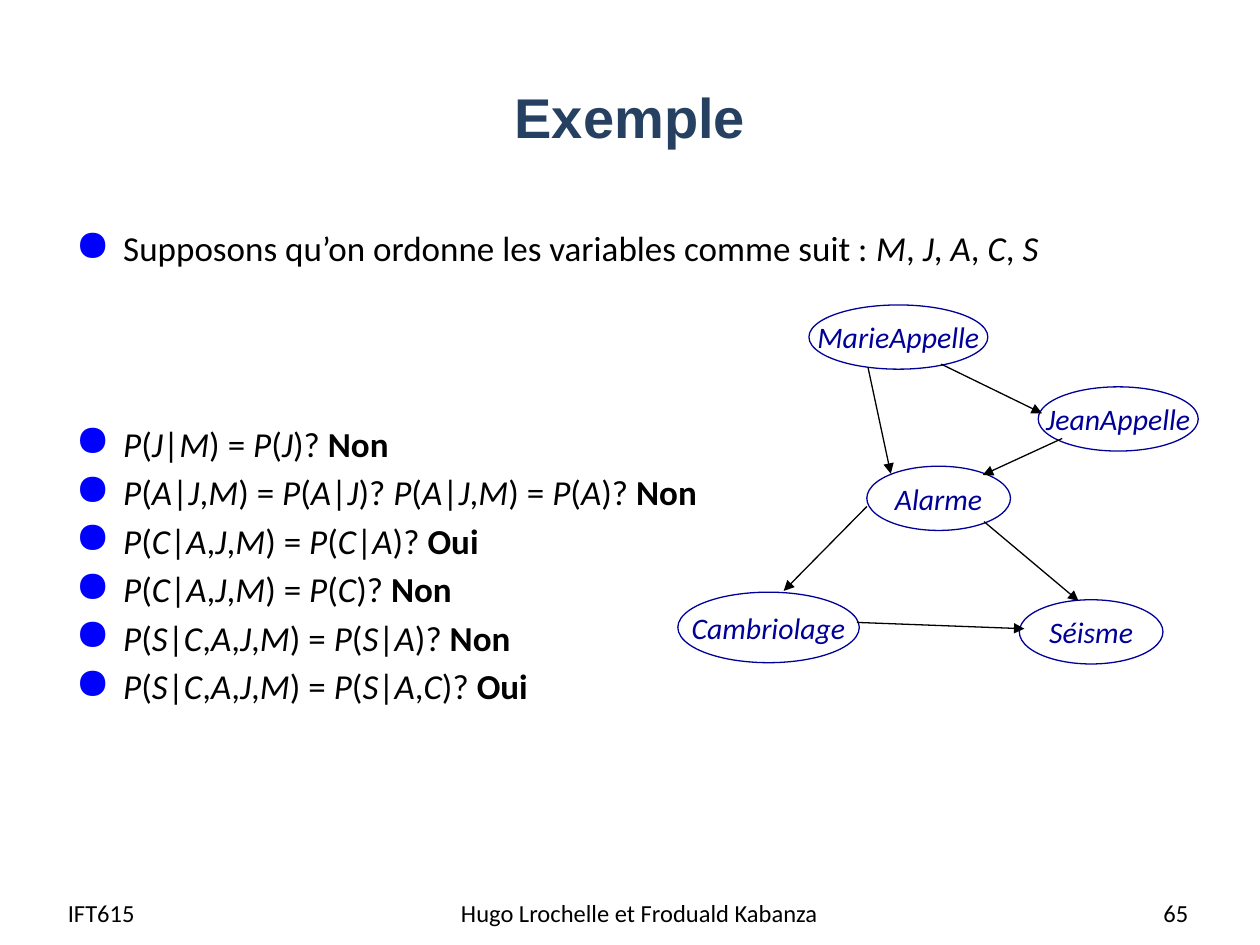
from itertools import groupby

from lxml import etree
from pptx import Presentation
from pptx import util as u
from pptx.dml.color import RGBColor
from pptx.enum import shapes, text
from pptx.oxml.ns import qn

BLACK, NAVY, BLUE, SLATE = "000000", "000099", "0000FF", "254061"
INTRO = "Supposons qu’on ordonne les variables comme suit : "
ORDER = "M, J, A, C, S"
QUESTIONS = [
    ("P(J|M) = P(J)? ", "Non"),
    ("P(A|J,M) = P(A|J)? P(A|J,M) = P(A)? ", "Non"),
    ("P(C|A,J,M) = P(C|A)? ", "Oui"),
    ("P(C|A,J,M) = P(C)? ", "Non"),
    ("P(S|C,A,J,M) = P(S|A)? ", "Non"),
    ("P(S|C,A,J,M) = P(S|A,C)? ", "Oui"),
]
VARIABLES = [
    ("Cambriolage", 0, 2.28, 1.44, 0.56),
    ("Séisme", 2.71, 2.34, 1.14, 0.51),
    ("Alarme", 1.5, 1.28, 1.14, 0.51),
    ("JeanAppelle", 2.86, 0.65, 1.27, 0.51),
    ("MarieAppelle", 1.04, 0, 1.42, 0.51),
]
DEPENDENCIES = [
    (2.09, 0.47, 2.89, 0.86),
    (2.43, 1.72, 3.18, 2.35),
    (1.51, 0.5, 1.69, 1.34),
    (3.05, 1.06, 2.42, 1.35),
    (1.42, 2.52, 2.75, 2.57),
    (1.5, 1.6, 0.84, 2.27),
]


def color(value):
    """Turn a hex string into a colour."""
    return RGBColor.from_string(value)


def style(font, size, name="Calibri", fill=BLACK):
    """Set the size, typeface and colour of a font."""
    font.size, font.name = u.Pt(size), name
    font.color.rgb = color(fill)


def add_label(slide, box, words, align, size, name="Calibri", fill=BLACK, bold=False):
    """Write one vertically centred line in a box."""
    frame = slide.shapes.add_textbox(*map(u.Inches, box)).text_frame
    frame.word_wrap = True
    frame.vertical_anchor = text.MSO_ANCHOR.MIDDLE
    frame.text = words
    line = frame.paragraphs[0]
    line.alignment = align
    style(line.runs[0].font, size, name, fill)
    line.runs[0].font.bold = bold


def add_bullet(paragraph):
    """Give a paragraph a large blue dot and a hanging indent."""
    properties = paragraph._p.get_or_add_pPr()
    properties.set("marL", str(u.Inches(0.38)))
    properties.set("indent", str(-u.Inches(0.38)))
    shade = etree.SubElement(properties, qn("a:buClr"))
    etree.SubElement(shade, qn("a:srgbClr"), val=BLUE)
    etree.SubElement(properties, qn("a:buSzPct"), val="125000")
    etree.SubElement(properties, qn("a:buChar"), char="●")


def add_words(paragraph, words, bold=False, italic=False):
    """Append one run of body text."""
    run = paragraph.add_run()
    run.text = words
    style(run.font, 20)
    run.font.bold, run.font.italic = bold, italic


def add_formula(paragraph, formula):
    """Append a formula with its capital letters in italics."""
    for is_symbol, letters in groupby(formula, str.isupper):
        add_words(paragraph, "".join(letters), italic=is_symbol)


def add_body(slide, box):
    """Write the variable order and the independence questions."""
    frame = slide.shapes.add_textbox(*map(u.Inches, box)).text_frame
    frame.word_wrap = True
    intro = frame.paragraphs[0]
    add_bullet(intro)
    add_words(intro, INTRO)
    add_formula(intro, ORDER)
    for index, (formula, answer) in enumerate(QUESTIONS):
        question = frame.add_paragraph()
        add_bullet(question)
        question.space_before = u.Pt(3.7 if index else 87.7)
        add_formula(question, formula)
        add_words(question, answer, bold=True)


def add_variable(slide, name, box):
    """Draw one variable of the network as an ellipse."""
    node = slide.shapes.add_shape(shapes.MSO_SHAPE.OVAL, *map(u.Inches, box))
    node.shadow.inherit = False
    node.fill.background()
    node.line.color.rgb = color(NAVY)
    node.line.width = u.Pt(0.75)
    frame = node.text_frame
    frame.word_wrap = False
    frame.vertical_anchor = text.MSO_ANCHOR.MIDDLE
    frame.text = name
    line = frame.paragraphs[0]
    line.alignment = text.PP_ALIGN.CENTER
    style(line.runs[0].font, 17, fill=NAVY)
    line.runs[0].font.italic = True


def add_arrow(slide, ends):
    """Draw one dependency as a thin arrow."""
    arrow = slide.shapes.add_connector(shapes.MSO_CONNECTOR.STRAIGHT, *map(u.Inches, ends))
    arrow.line.color.rgb = color(BLACK)
    arrow.line.width = u.Pt(0.75)
    etree.SubElement(arrow.line._get_or_add_ln(), qn("a:tailEnd"), type="triangle")
    etree.SubElement(arrow._element.spPr, qn("a:effectLst"))


def add_network(slide, left, top):
    """Draw the Bayesian network from its top left corner."""
    for name, x, y, width, height in VARIABLES:
        add_variable(slide, name, (left + x, top + y, width, height))
    for x1, y1, x2, y2 in DEPENDENCIES:
        add_arrow(slide, (left + x1, top + y1, left + x2, top + y2))


def add_footer(slide, top, height):
    """Write the course, the authors and the page number."""
    align = text.PP_ALIGN
    for words, left, width, side in [
        ("IFT615", 0.44, 1.93, align.LEFT),
        ("Hugo Lrochelle et Froduald Kabanza", 3.49, 3.17, align.CENTER),
        ("65", 7.2, 2.33, align.RIGHT),
    ]:
        add_label(slide, (left, top, width, height), words, side, 14)


def main():
    """Build and save the slide."""
    deck = Presentation()
    deck.slide_width, deck.slide_height = u.Inches(10), u.Inches(7.5)
    slide = deck.slides.add_slide(deck.slide_layouts[6])
    add_label(slide, (0.5, 0.3, 9, 1.25), "Exemple", text.PP_ALIGN.CENTER,
              32, "Arial", SLATE, True)
    add_body(slide, (0.5, 1.75, 9, 4.95))
    add_network(slide, 5.38, 2.42)
    add_footer(slide, 7.04, 0.4)
    deck.save("out.pptx")


if __name__ == "__main__":
    main()
